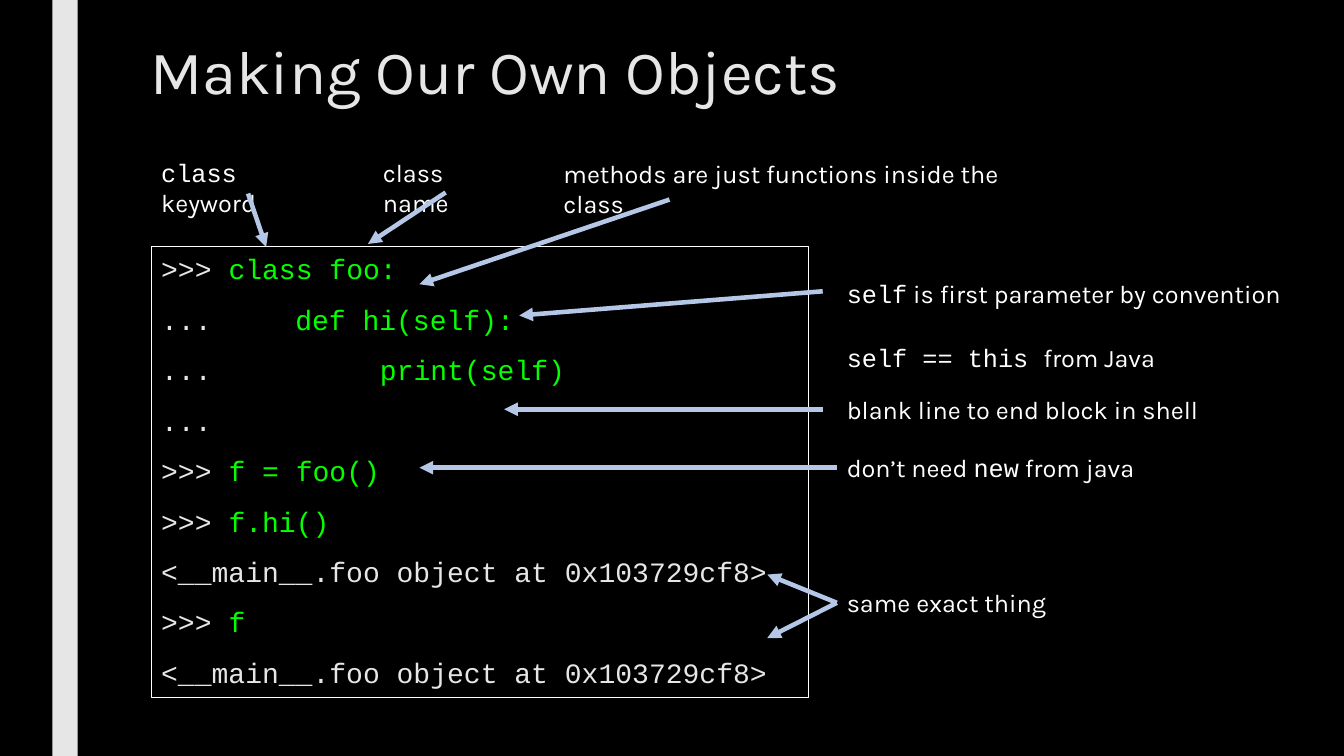
from dataclasses import dataclass

from lxml import etree
from pptx import Presentation
from pptx.dml.color import RGBColor
from pptx.enum.shapes import MSO_CONNECTOR, MSO_SHAPE
from pptx.enum.text import MSO_ANCHOR, MSO_AUTO_SIZE, PP_ALIGN
from pptx.oxml.ns import qn
from pptx.util import Inches, Pt

RECTANGLE = MSO_SHAPE.RECTANGLE
STRAIGHT = MSO_CONNECTOR.STRAIGHT
TOP = MSO_ANCHOR.TOP
LEFT = PP_ALIGN.LEFT
GROW = MSO_AUTO_SIZE.SHAPE_TO_FIT_TEXT


@dataclass(frozen=True)
class Theme:
    background: str = "000000"
    soft: str = "E7E6E6"
    white: str = "FFFFFF"
    typed: str = "05FF00"
    arrow: str = "B4C7E7"
    text_font: str = "Karla"
    code_font: str = "Courier New"
    title_size: int = 44
    code_size: int = 20
    label_size: int = 18
    border_width: float = 0.75
    arrow_width: float = 3.25


class SlideBuilder:
    def __init__(self, slide, theme):
        self.slide = slide
        self.theme = theme
        slide.background.fill.solid()
        slide.background.fill.fore_color.rgb = RGBColor.from_string(theme.background)

    def rectangle(self, box, fill=None, line=None):
        shape = self.slide.shapes.add_shape(RECTANGLE, *map(Inches, box))
        shape.shadow.inherit = False
        if fill:
            shape.fill.solid()
            shape.fill.fore_color.rgb = RGBColor.from_string(fill)
        else:
            shape.fill.background()
        if line:
            shape.line.color.rgb = RGBColor.from_string(line)
            shape.line.width = Pt(self.theme.border_width)
        else:
            shape.line.fill.background()
        return shape

    def text_box(self, box):
        text_frame = self.slide.shapes.add_textbox(*map(Inches, box)).text_frame
        text_frame.word_wrap = True
        return text_frame

    def add_run(self, paragraph, text, size, font, color):
        run = paragraph.add_run()
        run.text = text
        run.font.size = Pt(size)
        run.font.name = font
        run.font.color.rgb = RGBColor.from_string(color)

    def title(self, box, text):
        paragraph = self.text_box(box).paragraphs[0]
        paragraph.line_spacing = 0.95
        self.add_run(paragraph, text, self.theme.title_size,
                     self.theme.text_font, self.theme.soft)

    def label(self, box, parts):
        text_frame = self.text_box(box)
        text_frame.auto_size = GROW
        for text, is_code in parts:
            font = self.theme.code_font if is_code else self.theme.text_font
            self.add_run(text_frame.paragraphs[0], text, self.theme.label_size,
                         font, self.theme.white)

    def code(self, box, lines, tab_stops):
        text_frame = self.rectangle(box, line=self.theme.white).text_frame
        text_frame.word_wrap = True
        text_frame.vertical_anchor = TOP
        for index, (prompt, typed) in enumerate(lines):
            paragraph = text_frame.add_paragraph() if index else text_frame.paragraphs[0]
            paragraph.alignment = LEFT
            paragraph.line_spacing = 1.0
            paragraph.space_before = Pt(10)
            paragraph.space_after = Pt(2)
            tab_list = etree.SubElement(paragraph._p.get_or_add_pPr(), qn("a:tabLst"))
            for stop in tab_stops:
                etree.SubElement(tab_list, qn("a:tab"), pos=str(Inches(stop)), algn="l")
            for text, color in ((prompt, self.theme.soft), (typed, self.theme.typed)):
                if text:
                    self.add_run(paragraph, text, self.theme.code_size,
                                 self.theme.code_font, color)

    def arrow(self, start, end):
        connector = self.slide.shapes.add_connector(
            STRAIGHT, *map(Inches, (*start, *end)))
        connector.line.color.rgb = RGBColor.from_string(self.theme.arrow)
        connector.line.width = Pt(self.theme.arrow_width)
        etree.SubElement(connector.line._get_or_add_ln(), qn("a:tailEnd"), type="triangle")
        etree.SubElement(connector._element.spPr, qn("a:effectLst"))


presentation = Presentation()
presentation.slide_width = Inches(13.33)
presentation.slide_height = Inches(7.5)
theme = Theme()
builder = SlideBuilder(
    presentation.slides.add_slide(presentation.slide_layouts[6]), theme)

builder.rectangle((0.52, 0, 0.25, 7.5), fill=theme.soft)
builder.title((1.39, 0.33, 10.5, 1.62), "Making Our Own Objects")

OBJECT_OUTPUT = ("<__main__.foo object at 0x103729cf8>", "")
SESSION = [
    (">>> ", "class foo:"),
    ("...", "\tdef hi(self):"),
    ("...", "\t\tprint(self)"),
    ("...", ""),
    (">>> ", "f = foo()"),
    (">>> ", "f.hi()"),
    OBJECT_OUTPUT,
    (">>> ", "f"),
    OBJECT_OUTPUT,
]
builder.code((1.5, 2.45, 6.52, 4.47), SESSION, tab_stops=(1.33, 2.17))

NOTE_LEFT = 8.3
LABELS = [
    (1.5, 1.51, 1.92, [("class", True), (" keyword", False)]),
    (3.7, 1.51, 1.44, [("class name", False)]),
    (5.49, 1.52, 4.85, [("methods are just functions inside the class", False)]),
    (NOTE_LEFT, 2.71, 4.62, [("self", True), (" is first parameter by convention", False)]),
    (NOTE_LEFT, 3.35, 4.62, [("self == this ", True), ("from Java", False)]),
    (NOTE_LEFT, 3.86, 4.85, [("blank line to end block in shell", False)]),
    (NOTE_LEFT, 4.44, 3.59, [("don’t need ", False), ("new", True), (" from java", False)]),
    (NOTE_LEFT, 5.78, 3.59, [("same exact thing", False)]),
]
for left, top, width, parts in LABELS:
    builder.label((left, top, width, 0.4), parts)

SAME_THING = (NOTE_LEFT, 5.98)
ARROWS = [
    ((2.46, 1.92), (2.64, 2.45)),
    ((4.42, 1.91), (3.65, 2.42)),
    ((6.64, 1.98), (4.16, 2.82)),
    ((8.16, 2.89), (5.15, 3.13)),
    ((8.16, 4.06), (5, 4.06)),
    ((NOTE_LEFT, 4.64), (4.16, 4.64)),
    (SAME_THING, (7.61, 5.7)),
    (SAME_THING, (7.61, 6.33)),
]
for start, end in ARROWS:
    builder.arrow(start, end)

presentation.save("out.pptx")
